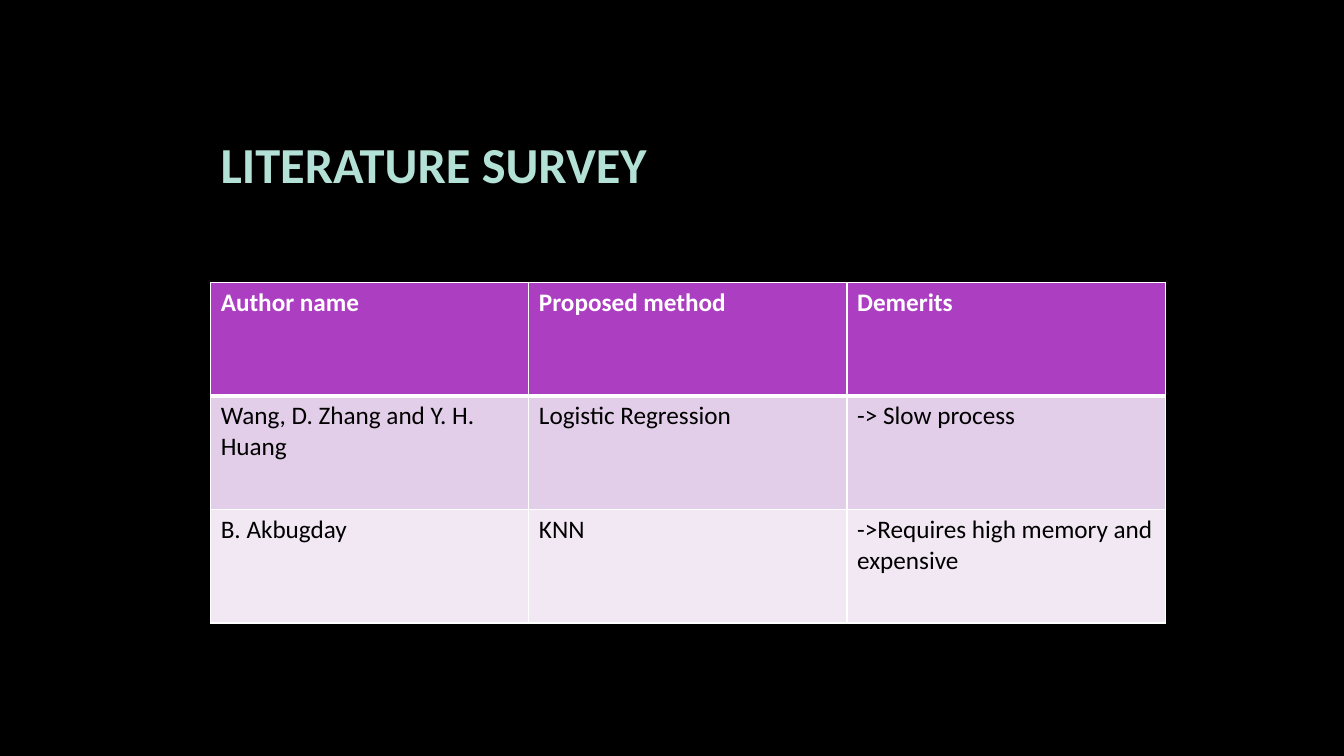
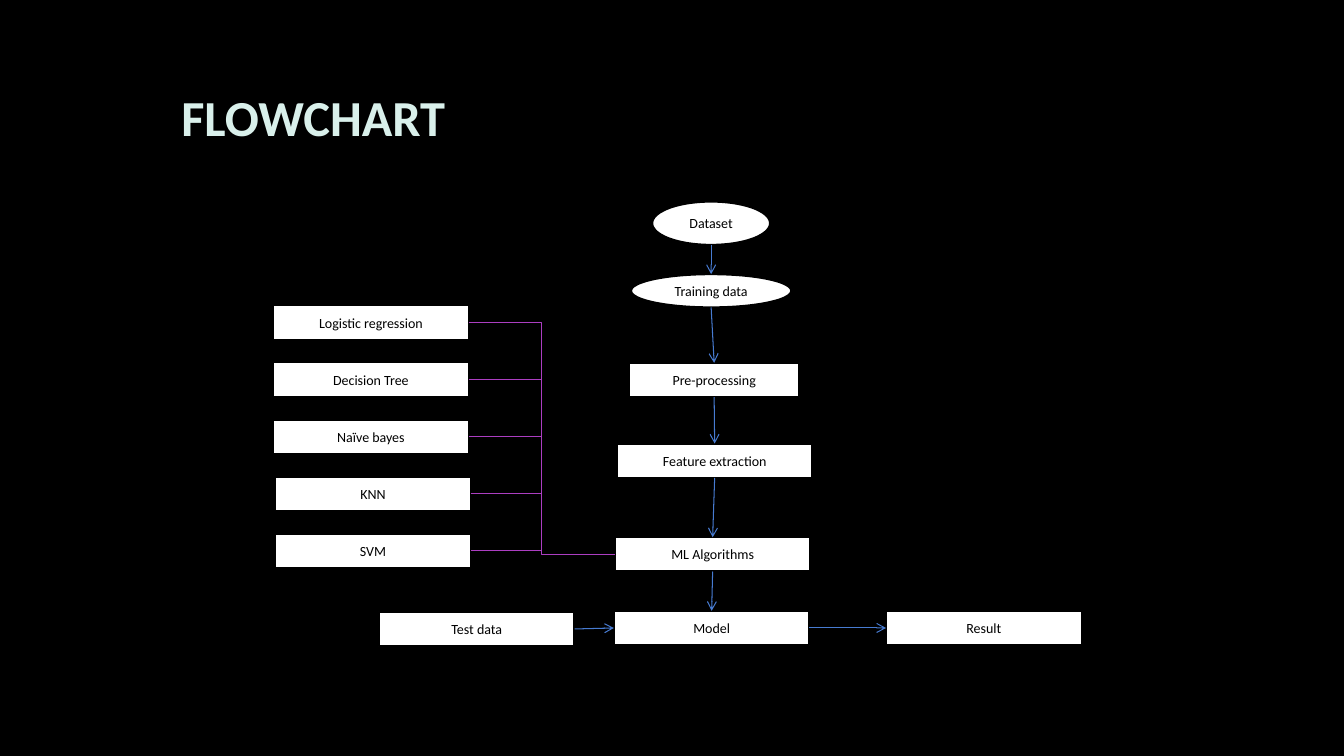
from dataclasses import dataclass
from itertools import pairwise

from lxml.etree import SubElement
from pptx import Presentation
from pptx.dml.color import RGBColor as Rgb
from pptx.enum.shapes import MSO_CONNECTOR as Link, MSO_SHAPE as Form
from pptx.enum.text import MSO_ANCHOR as Anchor, PP_ALIGN as Align
from pptx.oxml.ns import qn
from pptx.util import Inches, Pt


@dataclass(frozen=True)
class Theme:
    """Colours, type sizes and grid of the deck."""
    font: str = "Calibri"
    black: str = "000000"
    white: str = "FFFFFF"
    mint: str = "B4E1D6"
    pale_mint: str = "D9F0EB"
    purple: str = "AC3EC1"
    blue: str = "477BD1"
    bands: tuple = ("E3CEE9", "F1E8F4")
    title_size: int = 36
    table_size: int = 18
    node_size: int = 10
    columns: float = 133.33
    rows: float = 75
    cell: float = 0.1


SITES = {"top": 0, "left": 1, "bottom": 2, "right": 3}


def side_point(node, side):
    """Return the middle of one side of a node."""
    across = {"left": 0, "right": 2}.get(side, 1)
    down = {"top": 0, "bottom": 2}.get(side, 1)
    return node.left + node.width * across // 2, node.top + node.height * down // 2


class Deck:
    """Holds the theme and the current slide and draws elements on its grid."""

    def __init__(self, theme):
        """Start an empty deck of the theme's size."""
        self.theme = theme
        self.presentation = Presentation()
        self.presentation.slide_width = self.grid(theme.columns)
        self.presentation.slide_height = self.grid(theme.rows)
        self.slide = None

    def grid(self, count):
        """Turn a number of grid cells into a length."""
        return Inches(count * self.theme.cell)

    def new_slide(self):
        """Add a blank slide with the dark background."""
        self.slide = self.presentation.slides.add_slide(self.presentation.slide_layouts[6])
        self.paint(self.slide.background.fill, self.theme.black)

    def paint(self, fill, color):
        """Give a fill one solid colour."""
        fill.solid()
        fill.fore_color.rgb = Rgb.from_string(color)

    def set_text(self, frame, text, size, color, bold=False, align=Align.LEFT):
        """Put one styled paragraph in a text frame."""
        frame.word_wrap = True
        paragraph = frame.paragraphs[0]
        paragraph.text = text
        paragraph.alignment = align
        font = paragraph.font
        font.name, font.size, font.bold = self.theme.font, Pt(size), bold
        font.color.rgb = Rgb.from_string(color)

    def title(self, text, box, color):
        """Add the slide title."""
        frame = self.slide.shapes.add_textbox(*map(self.grid, box)).text_frame
        frame.vertical_anchor = Anchor.MIDDLE
        self.set_text(frame, text, self.theme.title_size, color, bold=True)

    def border(self, cell, widths):
        """Draw white borders of the given point widths by edge."""
        properties = cell._tc.get_or_add_tcPr()
        for edge, width in widths.items():
            line = SubElement(properties, qn(f"a:ln{edge}"), w=str(Pt(width)))
            solid = SubElement(line, qn("a:solidFill"))
            SubElement(solid, qn("a:srgbClr"), val=self.theme.white)

    def table(self, records, left, top, column_width, row_height):
        """Add a table with a header row and banded body rows."""
        theme = self.theme
        count, fields = len(records), len(records[0])
        table = self.slide.shapes.add_table(
            count, fields, self.grid(left), self.grid(top),
            self.grid(column_width * fields), self.grid(row_height * count)).table
        for row, record in enumerate(records):
            header = row == 0
            band = theme.purple if header else theme.bands[(row - 1) % 2]
            widths = {"L": 1, "R": 1, "T": 3 if row == 1 else 1, "B": 3 if header else 1}
            for column, text in enumerate(record):
                cell = table.cell(row, column)
                self.border(cell, widths)
                self.paint(cell.fill, band)
                ink = theme.white if header else theme.black
                self.set_text(cell.text_frame, text, theme.table_size, ink, bold=header)

    def node(self, text, left, top, width=19.4, height=3.4, form=Form.RECTANGLE):
        """Add a white flowchart node."""
        node = self.slide.shapes.add_shape(form, *map(self.grid, (left, top, width, height)))
        node.shadow.inherit = False
        self.paint(node.fill, self.theme.white)
        self.paint(node.line.fill, self.theme.black)
        node.line.width = Pt(1.5)
        node.text_frame.vertical_anchor = Anchor.MIDDLE
        self.set_text(node.text_frame, text, self.theme.node_size, self.theme.black,
                      align=Align.CENTER)
        return node

    def line(self, start, end, color, kind=Link.STRAIGHT):
        """Add a thin connector between two points."""
        line = self.slide.shapes.add_connector(kind, *start, *end)
        self.paint(line.line.fill, color)
        line.line.width = Pt(0.75)
        SubElement(line.element.spPr, qn("a:effectLst"))
        return line

    def join(self, source, target, sides, color, kind=Link.STRAIGHT):
        """Connect a side of one node to a side of another."""
        line = self.line(side_point(source, sides[0]), side_point(target, sides[1]), color, kind)
        ends = line.element.nvCxnSpPr.cNvCxnSpPr
        glues = ends.get_or_add_stCxn(), ends.get_or_add_endCxn()
        for glue, node, side in zip(glues, (source, target), sides):
            step = 2 if node.auto_shape_type == Form.OVAL else 1
            glue.id, glue.idx = node.shape_id, SITES[side] * step
        return line

    def arrow(self, source, target, sides=("bottom", "top")):
        """Connect two nodes with an arrow."""
        line = self.join(source, target, sides, self.theme.blue)
        SubElement(line.element.spPr.find(qn("a:ln")), qn("a:tailEnd"), type="arrow")


def literature_survey(deck):
    """Build the table of earlier work."""
    deck.new_slide()
    deck.title("LITERATURE SURVEY", (20.9, 10.3, 67.5, 11.8), deck.theme.mint)
    deck.table([
        ("Author name", "Proposed method", "Demerits"),
        ("Wang, D. Zhang and Y. H. Huang", "Logistic Regression", "-> Slow process"),
        ("B. Akbugday", "KNN", "->Requires high memory and expensive"),
    ], left=20.9, top=28, column_width=31.57, row_height=11.27)


def flowchart(deck):
    """Build the flow from dataset to result."""
    purple = deck.theme.purple
    deck.new_slide()
    deck.title("FLOWCHART", (17, 7.1, 83.9, 8.9), deck.theme.pale_mint)

    dataset = deck.node("Dataset", 64.7, 20, 11.7, 4.3, Form.OVAL)
    training = deck.node("Training data", 62.6, 27.2, 15.9, 3.3, Form.OVAL)
    preprocessing = deck.node("Pre-processing", 62.4, 36, 16.9)
    extraction = deck.node("Feature extraction", 61.2, 44)
    algorithms = deck.node("ML Algorithms", 61, 53.3)
    test_data = deck.node("Test data", 37.6, 60.7)
    model = deck.node("Model", 60.9, 60.6)
    result = deck.node("Result", 87.9, 60.6)

    methods = [
        deck.node(name, left, 30.3 + 5.66 * place)
        for place, (name, left) in enumerate([
            ("Logistic regression", 27.1), ("Decision Tree", 27.1), ("Naïve bayes", 27.1),
            ("KNN", 27.3), ("SVM", 27.3)])
    ]

    for source, target in pairwise(
            [dataset, training, preprocessing, extraction, algorithms, model]):
        deck.arrow(source, target)
    for source, target in pairwise([test_data, model, result]):
        deck.arrow(source, target, ("right", "left"))

    first, *others = methods
    deck.join(first, algorithms, ("right", "left"), purple, Link.ELBOW)
    trunk = (side_point(first, "right")[0] + algorithms.left) // 2
    for method in others:
        start = side_point(method, "right")
        deck.line(start, (trunk, start[1]), purple)


def main():
    """Build and save the deck."""
    deck = Deck(Theme())
    literature_survey(deck)
    flowchart(deck)
    deck.presentation.save("out.pptx")


if __name__ == "__main__":
    main()
